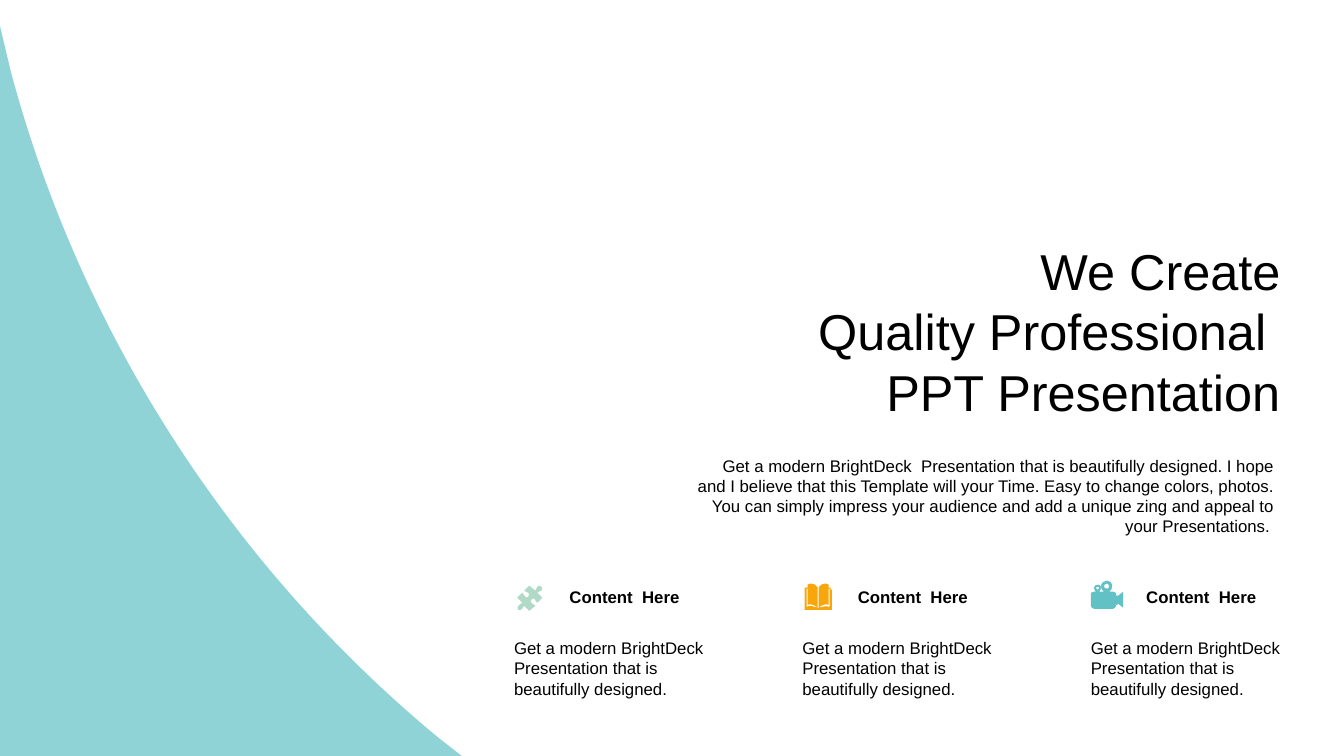
from lxml.etree import SubElement
from pptx import Presentation
from pptx.dml.color import RGBColor
from pptx.enum.shapes import MSO_SHAPE
from pptx.enum.text import MSO_ANCHOR, MSO_AUTO_SIZE, PP_ALIGN
from pptx.oxml.ns import qn
from pptx.util import Inches, Pt

BLACK = RGBColor(0x00, 0x00, 0x00)
WHITE = RGBColor(0xFF, 0xFF, 0xFF)
TEAL = RGBColor(0x62, 0xC1, 0xC5)
MINT = RGBColor(0xB1, 0xD9, 0xC7)
ORANGE = RGBColor(0xF7, 0xA6, 0x0B)

FIRST_COLUMN, COLUMN_PITCH, COLUMN_TOP = 5.0, 2.86, 5.66

TITLE = ["We Create", "Quality Professional ", "PPT Presentation"]
INTRO = (
    "Get a modern BrightDeck  Presentation that is beautifully designed. I hope "
    "and I believe that this Template will your Time. Easy to change colors, photos. "
    "You can simply impress your audience and add a unique zing and appeal to "
    "your Presentations. "
)
HEADING = "Content  Here"
DETAIL = "Get a modern BrightDeck  Presentation that is beautifully designed."

# Outlines in hundredths of an inch: M move, L line, C cubic curve, Z close
SWEEP = "M 0 26 L 11 72 C 80 329 228 561 435 732 L 458 750 L 0 750 Z"
PUZZLE = """
M 37 16 C 38 17 38 18 37 20 C 36 21 34 20 33 22 L 38 27 L 33 32
C 31 31 32 30 30 28 C 29 27 28 28 27 29 C 26 29 26 31 27 32
C 29 34 29 33 31 35 L 25 40 L 20 35 C 18 36 19 37 18 38
C 17 40 15 39 14 39 C 13 38 13 36 14 35 C 15 33 17 34 18 32
L 13 27 L 18 22 C 20 23 19 25 21 26 C 22 27 23 27 24 26
C 25 25 25 23 24 22 C 23 21 22 22 20 20 L 25 15 L 31 20
C 33 18 31 18 33 16 C 34 15 36 15 37 16 Z"""
BOOK = """
M 25 37 C 25 37 26 37 26 37 L 26 37 C 30 36 33 35 37 36 L 37 18 L 36 18
C 36 23 36 29 36 34 C 33 33 29 34 26 37 L 26 18 L 26 17 L 26 17
C 28 14 30 13 32 13 C 33 13 35 13 36 14 C 36 15 36 16 36 17
L 38 17 L 38 19 L 39 19 L 39 39 L 12 39 L 12 19 L 12 19 L 12 17 L 15 17
C 15 16 15 15 15 14 C 16 13 18 13 19 13 C 21 13 23 14 25 17
L 25 17 L 25 18 L 25 37 C 22 34 18 33 15 34 L 15 18 L 14 18 L 14 36
C 18 34 21 36 25 37 Z"""
CAMERA = """
M 17 16 C 16 16 15 17 15 17 C 15 18 16 19 17 19 C 17 19 18 18 18 17
C 18 17 17 16 17 16 Z
M 26 13 C 24 13 23 14 23 16 C 23 17 24 18 26 18 C 27 18 28 17 28 16
C 28 14 27 13 26 13 Z
M 26 10 C 29 10 31 12 31 16 C 31 18 30 20 28 21 L 32 21
C 33 21 35 22 35 23 L 35 25 L 36 25 C 37 25 37 25 37 25 L 42 21
L 42 37 L 37 33 C 37 33 37 34 36 34 L 35 34 L 35 35
C 35 36 33 38 32 38 L 13 38 C 11 38 10 36 10 35 L 10 23
C 10 22 11 21 13 21 L 15 21 C 14 20 13 19 13 17 C 13 15 15 14 17 14
C 19 14 20 15 20 17 C 20 19 19 20 18 21 L 23 21
C 21 20 20 18 20 16 C 20 12 23 10 26 10 Z"""
ICONS = [(PUZZLE, MINT), (BOOK, ORANGE), (CAMERA, TEAL)]


def paint(shape, color):
    shape.shadow.inherit = False
    shape.fill.solid()
    shape.fill.fore_color.rgb = color
    shape.line.fill.background()


def bend_curves(shape, segments):
    """Join each curve's three straight steps into one cubic segment."""
    steps = iter(list(shape.element.iter(qn("a:lnTo"))))
    for segment in segments:
        step = next(steps)
        if segment == "C":
            step.tag = qn("a:cubicBezTo")
            for _ in range(2):
                extra = next(steps)
                step.append(extra[0])
                extra.getparent().remove(extra)


def add_outline(page, outline, left, top, color):
    words = iter(outline.split())
    builder = None
    segments = []

    def next_point():
        return Inches(int(next(words)) / 100), Inches(int(next(words)) / 100)

    for command in words:
        if command == "M":
            start = next_point()
            if builder is None:
                builder = page.shapes.build_freeform(*start)
            else:
                builder.move_to(*start)
        elif command == "Z":
            builder.add_line_segments([], close=True)
        else:
            count = 3 if command == "C" else 1
            points = [next_point() for _ in range(count)]
            builder.add_line_segments(points, close=False)
            segments.append(command)
    shape = builder.convert_to_shape(Inches(left), Inches(top))
    bend_curves(shape, segments)
    paint(shape, color)
    return shape


def add_text(page, box, lines, size=12, bold=False, align=PP_ALIGN.LEFT):
    text_box = page.shapes.add_textbox(*(Inches(length) for length in box))
    frame = text_box.text_frame
    frame.word_wrap = True
    frame.auto_size = MSO_AUTO_SIZE.SHAPE_TO_FIT_TEXT
    frame.text = "\n".join(lines)
    for para in frame.paragraphs:
        para.alignment = align
        for span in para.runs:
            span.font.name = "Arial"
            span.font.size = Pt(size)
            span.font.bold = bold
            span.font.color.rgb = BLACK
    return frame


def add_sweep(page):
    shape = add_outline(page, SWEEP, 0, 0, TEAL)
    color = next(shape.element.iter(qn("a:srgbClr")))
    SubElement(color, qn("a:alpha"), val="70000")


def add_headline(page, left, top, width):
    frame = add_text(page, (left, top, width, 1.82), TITLE, 36, align=PP_ALIGN.RIGHT)
    frame.vertical_anchor = MSO_ANCHOR.MIDDLE
    frame.margin_left = frame.margin_right = Inches(0.04)
    frame.margin_top = frame.margin_bottom = 0
    add_text(page, (left, top + 2.1, width, 0.91), [INTRO], align=PP_ALIGN.RIGHT)


def add_feature(page, left, top, icon, color):
    badge_box = (Inches(length) for length in (left, top, 0.51, 0.51))
    paint(page.shapes.add_shape(MSO_SHAPE.OVAL, *badge_box), WHITE)
    add_text(page, (left + 0.55, top + 0.11, 1.46, 0.3), [HEADING], bold=True)
    add_text(page, (left, top + 0.62, 2.21, 0.71), [DETAIL])
    add_outline(page, icon, left, top, color)


def main():
    deck = Presentation()
    deck.slide_width, deck.slide_height = Inches(13.33), Inches(7.5)
    page = deck.slides.add_slide(deck.slide_layouts[6])

    add_sweep(page)
    add_headline(page, 6.82, 2.37, 5.92)
    for column, (icon, color) in enumerate(ICONS):
        add_feature(page, FIRST_COLUMN + column * COLUMN_PITCH, COLUMN_TOP, icon, color)

    deck.save("out.pptx")


if __name__ == "__main__":
    main()
